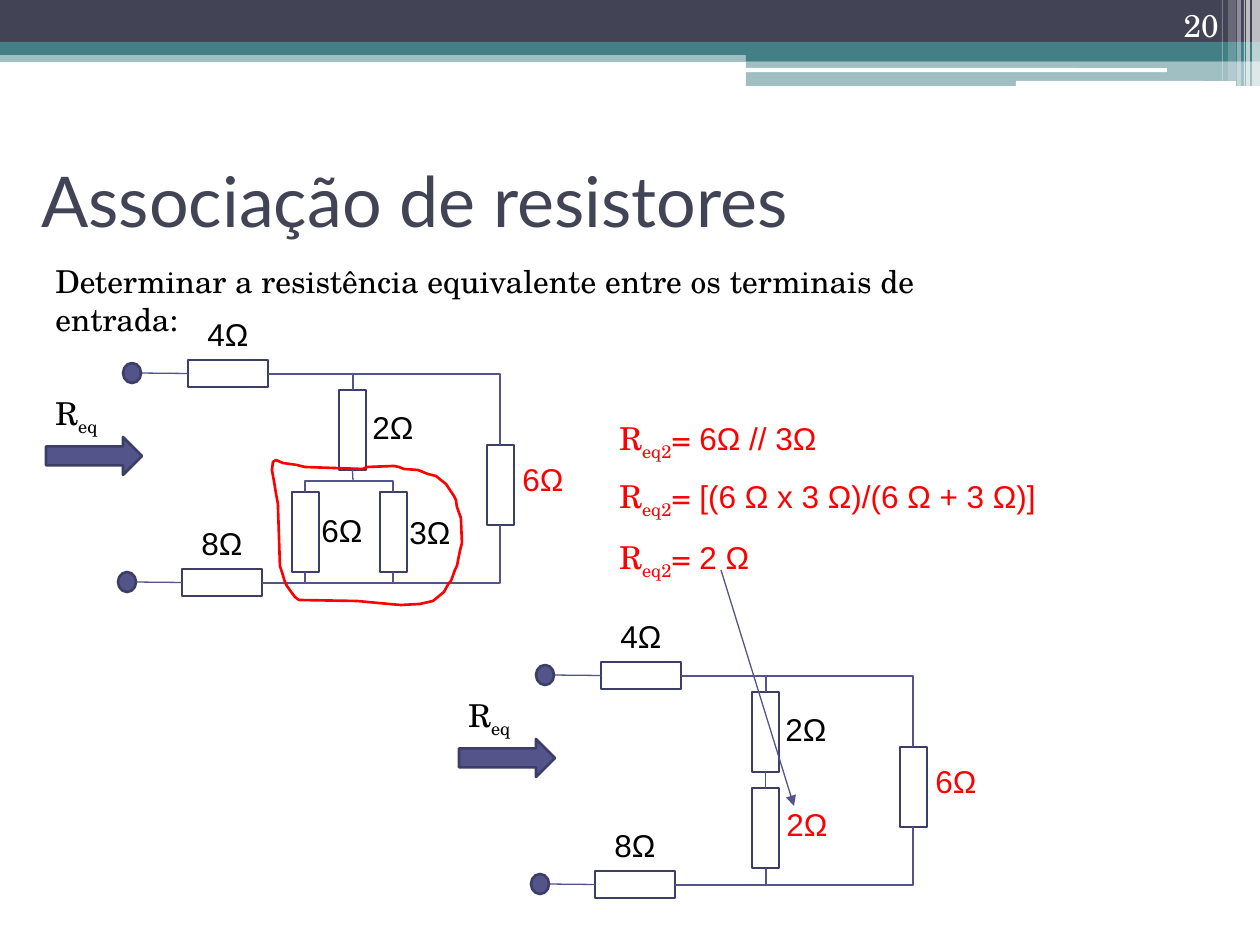
from lxml.etree import SubElement
from pptx import Presentation
from pptx.dml.color import RGBColor
from pptx.enum.shapes import MSO_CONNECTOR as LINK, MSO_SHAPE as SHAPE
from pptx.enum.text import MSO_ANCHOR as ANCHOR, MSO_AUTO_SIZE as FIT, PP_ALIGN as ALIGN
from pptx.oxml.ns import qn
from pptx.util import Pt

SCALE = 914400 / 126  # EMU in one px
SERIF, SANS, TITLE_FONT = "TeX Gyre Schola", "Arial", "Lato"

BLACK = RGBColor(0x00, 0x00, 0x00)
WHITE = RGBColor(0xFF, 0xFF, 0xFF)
RED = RGBColor(0xFF, 0x00, 0x00)
SLATE = RGBColor(0x42, 0x44, 0x56)
TEAL = RGBColor(0x43, 0x80, 0x86)
INDIGO = RGBColor(0x53, 0x54, 0x8A)
OUTLINE = RGBColor(0x3D, 0x3E, 0x66)

# Header bars: left, top, width, height, colour, opacity in percent
HEADER_BARS = [
    (0, 50, 1260, 12, TEAL, 50),
    (0, 0, 1260, 42, SLATE, 100),
    (0, 42, 1260, 13, TEAL, 100),
    (746, 49, 514, 12, TEAL, 100),
    (746, 61, 514, 25, TEAL, 50),
]
HEADER_PILLS = [(745, 68, 422, 4), (1016, 81, 220, 5)]
HEADER_STRIPES = [  # left, width, height, opacity
    (1252, 8, 86, 65), (1246, 4, 86, 65), (1244, 1, 86, 60),
    (1237, 4, 86, 40), (1228, 8, 81, 20), (1222, 1, 81, 30),
]

# Hand-drawn loop around the parallel pair
LOOP = [
    (273, 462), (272, 470), (274, 481), (276, 493), (278, 504), (280, 566),
    (282, 572), (285, 582), (287, 586), (292, 593), (295, 597), (299, 600),
    (357, 601), (389, 604), (401, 605), (420, 604), (433, 601), (444, 592),
    (449, 583), (451, 581), (454, 573), (455, 570), (457, 566), (460, 551),
    (462, 543), (461, 518), (457, 507), (456, 500), (454, 496), (446, 484),
    (436, 476), (428, 474), (418, 470), (404, 469), (399, 467), (394, 466),
    (367, 467), (363, 469), (305, 467), (297, 465), (283, 463), (276, 460),
]


def px(*values):
    return [round(value * SCALE) for value in values]


def add_block(page, kind, left, top, width, height, fill=None, line=None, opacity=100):
    block = page.shapes.add_shape(kind, *px(left, top, width, height))
    block.shadow.inherit = False
    if fill is None:
        block.fill.background()
    else:
        block.fill.solid()
        block.fill.fore_color.rgb = fill
        if opacity < 100:
            color = block.fill._xPr.find(qn("a:solidFill"))[0]
            SubElement(color, qn("a:alpha")).set("val", str(opacity * 1000))
    if line is None:
        block.line.fill.background()
    else:
        block.line.color.rgb = line
        block.line.width = Pt(1.5)
    return block


def add_text(page, left, top, width, height, spans, color=BLACK, size=18,
             wrap=False, anchor=ANCHOR.TOP, align=ALIGN.LEFT):
    """Each span is (text, font) or (text, font, True) for a subscript."""
    box = page.shapes.add_textbox(*px(left, top, width, height))
    frame = box.text_frame
    frame.word_wrap = wrap
    frame.auto_size = FIT.NONE if wrap else FIT.SHAPE_TO_FIT_TEXT
    frame.vertical_anchor = anchor
    para = frame.paragraphs[0]
    para.alignment = align
    for text, font, *subscript in spans:
        span = para.add_run()
        span.text = text
        span.font.name = font
        span.font.size = Pt(size)
        span.font.color.rgb = color
        if subscript:
            span.font._element.set("baseline", "-25000")


def add_wire(page, start, end, kind=LINK.STRAIGHT):
    wire = page.shapes.add_connector(kind, *px(*start, *end))
    wire.line.color.rgb = INDIGO
    wire.line.width = Pt(0.75)
    SubElement(wire._element.spPr, qn("a:effectLst"))
    return wire


def add_corner(page, start, end):
    """One bend: first horizontal, then vertical."""
    wire = add_wire(page, start, end, LINK.ELBOW)
    wire._element.spPr.find(qn("a:prstGeom")).set("prst", "bentConnector2")


def add_resistor(page, left, top, upright=False):
    size = (27, 80) if upright else (80, 27)
    return add_block(page, SHAPE.RECTANGLE, left, top, *size, line=OUTLINE)


def add_header(page):
    for *place, color, opacity in HEADER_BARS:
        add_block(page, SHAPE.RECTANGLE, *place, color, opacity=opacity)
    for place in HEADER_PILLS:
        add_block(page, SHAPE.ROUNDED_RECTANGLE, *place, WHITE)
    for left, width, height, opacity in HEADER_STRIPES:
        add_block(page, SHAPE.RECTANGLE, left, 0, width, height, WHITE, opacity=opacity)
    add_text(page, 1126, 0, 105, 50, [("20", SERIF)], WHITE, wrap=True,
             anchor=ANCHOR.BOTTOM, align=ALIGN.RIGHT)


def add_circuit(page, dx, dy, reduced):
    def at(x, y):
        return x + dx, y + dy

    def label(x, y, text, color=BLACK):
        add_text(page, *at(x, y), 67, 50, [(text, SANS)], color)

    # Input terminals, each with its series resistor
    for terminal, (x, y) in (((123, 363), (188, 360)), ((118, 572), (182, 569))):
        series = add_resistor(page, *at(x, y))
        lead = add_wire(page, at(terminal[0] + 14, y + 13), at(x, y + 13))
        lead.end_connect(series, 1)
        add_block(page, SHAPE.OVAL, *at(*terminal), 18, 20, INDIGO, OUTLINE)
    add_block(page, SHAPE.RIGHT_ARROW, *at(46, 437), 96, 38, INDIGO, OUTLINE)
    add_text(page, *at(43, 388), 69, 50, [("R", SERIF), ("eq", SERIF, True)])

    # Shared branches
    upper = add_resistor(page, *at(339, 390), upright=True)
    add_resistor(page, *at(487, 445), upright=True)
    for start, end in (((268, 374), (500, 445)), ((268, 374), (353, 390)),
                       ((387, 374), (353, 390)), ((262, 583), (500, 525))):
        add_corner(page, at(*start), at(*end))
    label(195, 309, "4Ω")
    label(360, 402, "2Ω")
    label(510, 454, "6Ω", RED)
    label(189, 518, "8Ω")

    # Lower middle branch: one equivalent resistor or the parallel pair
    if reduced:
        lower = add_resistor(page, *at(339, 486), upright=True)
        link = add_wire(page, at(353, 470), at(353, 486))
        link.begin_connect(upper, 2)
        link.end_connect(lower, 0)
        add_corner(page, at(262, 583), at(353, 567))
        label(361, 497, "2Ω", RED)
    else:
        stub = add_wire(page, at(353, 470), at(353, 481))
        stub.begin_connect(upper, 2)
        for x in (305, 393):
            add_resistor(page, *at(x - 13, 492), upright=True)
            add_corner(page, at(353, 481), at(x, 492))
            add_corner(page, at(262, 583), at(x, 572))
        label(309, 505, "6Ω")
        label(397, 507, "3Ω")


def add_loop(page):
    builder = page.shapes.build_freeform(*LOOP[0], scale=SCALE)
    builder.add_line_segments(LOOP[1:], close=True)
    loop = builder.convert_to_shape()
    loop.shadow.inherit = False
    loop.fill.background()
    loop.line.color.rgb = RED
    loop.line.width = Pt(1.5)


def add_equation(page, top, width, value):
    spans = [("R", SERIF), ("eq2", SERIF, True), ("= ", SERIF), (value, SANS)]
    add_text(page, 607, top, width, 50, spans, RED)


def main():
    deck = Presentation()
    deck.slide_width, deck.slide_height = px(1260, 945)
    page = deck.slides.add_slide(deck.slide_layouts[6])

    # Header, title and task
    add_header(page)
    add_text(page, 29, 131, 1086, 137, [("Associação de resistores", TITLE_FONT)],
             SLATE, 40, wrap=True, anchor=ANCHOR.MIDDLE)
    task = "Determinar a resistência equivalente entre os terminais de entrada:"
    add_text(page, 43, 256, 973, 50, [(task, SERIF)], wrap=True)

    # First circuit and the pair to reduce
    add_circuit(page, 0, 0, reduced=False)
    add_loop(page)

    # Calculation
    add_equation(page, 413, 237, "6Ω // 3Ω")
    add_equation(page, 471, 450, "[(6 Ω x 3 Ω)/(6 Ω + 3 Ω)]")
    add_equation(page, 532, 168, "2 Ω")

    # Reduced circuit, with an arrow from the result
    add_circuit(page, 413, 302, reduced=True)
    pointer = add_wire(page, (721, 570), (794, 806))
    SubElement(pointer.line._get_or_add_ln(), qn("a:tailEnd")).set("type", "triangle")

    deck.save("out.pptx")


if __name__ == "__main__":
    main()
